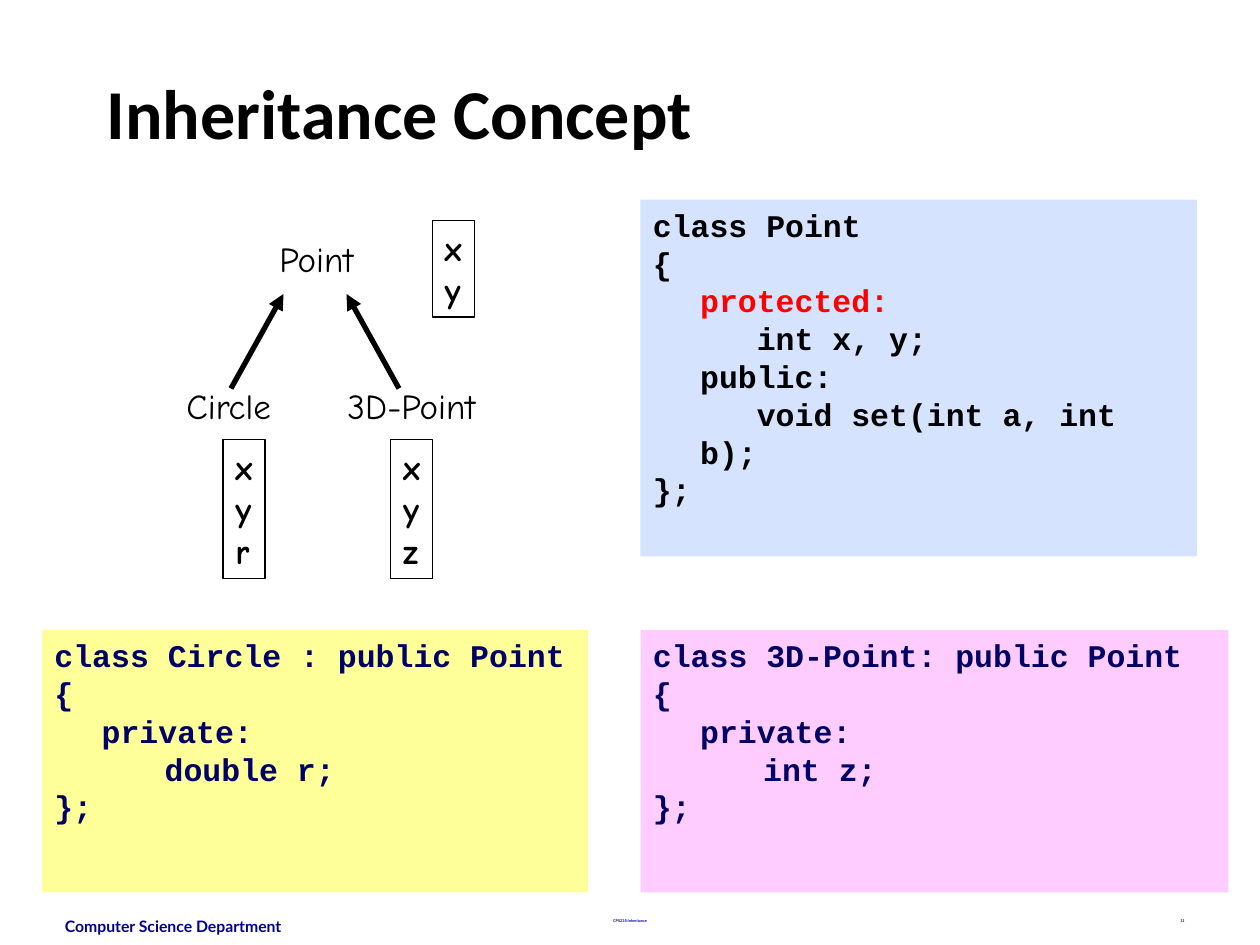
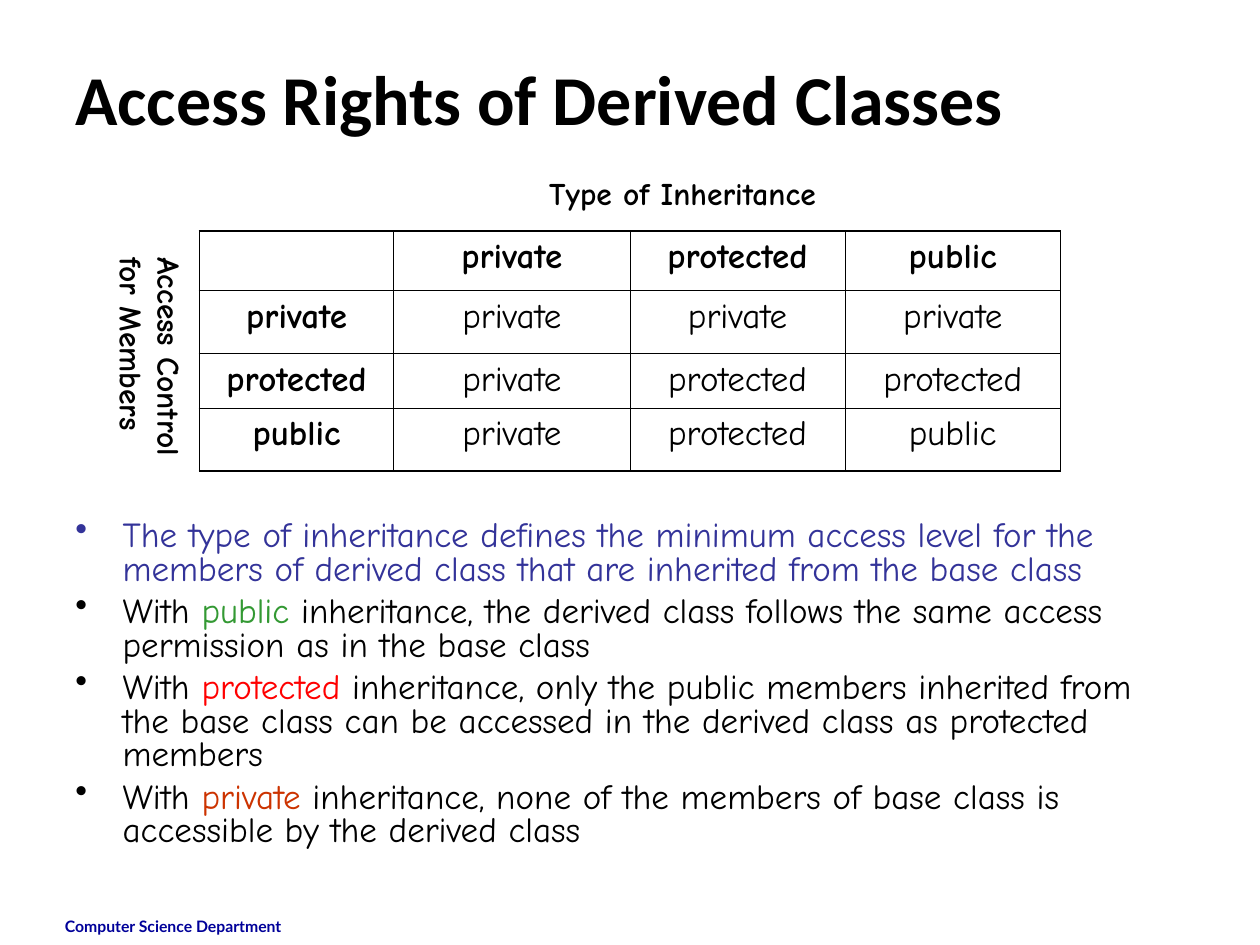
from lxml import etree
from pptx import Presentation
from pptx.dml.color import RGBColor
from pptx.enum.shapes import MSO_CONNECTOR, MSO_SHAPE
from pptx.enum.text import MSO_ANCHOR, MSO_AUTO_SIZE, PP_ALIGN
from pptx.oxml.ns import qn
from pptx.util import Pt

RECTANGLE = MSO_SHAPE.RECTANGLE
STRAIGHT = MSO_CONNECTOR.STRAIGHT
TOP, MIDDLE = MSO_ANCHOR.TOP, MSO_ANCHOR.MIDDLE
GROW = MSO_AUTO_SIZE.SHAPE_TO_FIT_TEXT
LEFT, CENTER, RIGHT = PP_ALIGN.LEFT, PP_ALIGN.CENTER, PP_ALIGN.RIGHT

BLACK, RED = "000000", "FF0000"
FOOTER_BLUE, CODE_NAVY = "000099", "000066"
TITLE_FONT, FOOTER_FONT = "Calibri", "Lato"
BODY_FONT, CODE_FONT = "Comic Neue", "Courier New"
HANGING = 27
TAB_STEP, TAB_COUNT = 72, 8
THICK, THIN = 1.08, 0.45


def color(hex_string):
    """Return the colour for a hex string."""
    return RGBColor.from_string(hex_string)


def add_run(paragraph, text, font, size, hex_color=BLACK, bold=False):
    """Append one formatted run to a paragraph."""
    run = paragraph.add_run()
    run.text = text
    run.font.name = font
    run.font.size = Pt(size)
    run.font.bold = bold
    run.font.color.rgb = color(hex_color)


def paragraphs_for(frame, items):
    """Yield a paragraph of the frame together with each item."""
    for index, item in enumerate(items):
        yield (frame.add_paragraph() if index else frame.paragraphs[0]), item


def set_hanging(paragraph):
    """Give a paragraph a hanging indent and return its properties."""
    properties = paragraph._p.get_or_add_pPr()
    properties.set("marL", str(Pt(HANGING)))
    properties.set("indent", str(-Pt(HANGING)))
    return properties


def add_text(slide, box, lines, font, size, hex_color=BLACK, bold=False,
             align=LEFT, anchor=TOP, wrap=True, spacing=None):
    """Add a text box with one paragraph for each line."""
    shape = slide.shapes.add_textbox(*map(Pt, box))
    frame = shape.text_frame
    frame.word_wrap = wrap
    frame.vertical_anchor = anchor
    if not wrap:
        frame.auto_size = GROW
    for paragraph, line in paragraphs_for(frame, lines):
        paragraph.alignment = align
        if spacing:
            paragraph.line_spacing = spacing
        add_run(paragraph, line, font, size, hex_color, bold)
    return shape


def add_rectangle(slide, box, fill=None, line=None):
    """Add a rectangle ready to hold text from its top left."""
    shape = slide.shapes.add_shape(RECTANGLE, *map(Pt, box))
    shape.shadow.inherit = False
    if fill:
        shape.fill.solid()
        shape.fill.fore_color.rgb = color(fill)
    else:
        shape.fill.background()
    if line:
        shape.line.color.rgb = color(line)
        shape.line.width = Pt(0.75)
    else:
        shape.line.fill.background()
    shape.text_frame.vertical_anchor = TOP
    return shape


def add_title(slide, box, text, anchor=TOP):
    """Add the slide title."""
    add_text(slide, box, [text], TITLE_FONT, 40, bold=True, anchor=anchor)


def add_footer(slide):
    """Add the department name shared by all slides."""
    add_text(slide, (30, 520.5, 168, 19.5), ["Computer Science Department"],
             FOOTER_FONT, 9, FOOTER_BLUE, bold=True)


def add_course_footer(slide, top, course, number):
    """Add the small course name and slide number."""
    for left, width, text, align in ((246, 228, course, CENTER),
                                     (516, 168, number, RIGHT)):
        add_text(slide, (left, top, width, 7), [text], FOOTER_FONT, 2.2,
                 FOOTER_BLUE, bold=True, align=align, spacing=0.8)


def add_code_panel(slide, box, fill, hex_color, lines):
    """Add a filled panel of code, with keywords ending in protected: in red."""
    frame = add_rectangle(slide, box, fill).text_frame
    frame.word_wrap = True
    for paragraph, line in paragraphs_for(frame, lines):
        paragraph.alignment = LEFT
        tabs = etree.SubElement(set_hanging(paragraph), qn("a:tabLst"))
        for step in range(TAB_COUNT):
            etree.SubElement(tabs, qn("a:tab"), pos=str(Pt(step * TAB_STEP)), algn="l")
        line_color = RED if line.endswith("protected:") else hex_color
        add_run(paragraph, line, CODE_FONT, 18, line_color, bold=True)


def add_members(slide, box, names):
    """Add an outlined box listing the members of a class."""
    frame = add_rectangle(slide, box, line=BLACK).text_frame
    frame.word_wrap = False
    frame.auto_size = GROW
    for paragraph, name in paragraphs_for(frame, names):
        paragraph.alignment = LEFT
        add_run(paragraph, name, BODY_FONT, 20, bold=True)


def add_arrow(slide, tip, end):
    """Add a thick line with an arrowhead at its tip."""
    arrow = slide.shapes.add_connector(STRAIGHT, *map(Pt, (*tip, *end)))
    arrow.line.color.rgb = color(BLACK)
    arrow.line.width = Pt(3)
    etree.SubElement(arrow.line._get_or_add_ln(), qn("a:headEnd"), type="triangle")
    etree.SubElement(arrow.element.spPr, qn("a:effectLst"))


def add_hierarchy(slide, left, top):
    """Draw the class tree with the members of each class."""
    classes = (("Point", 56.6, 6, 57.6, 151, 0, "xy"),
               ("Circle", 3.4, 90, 63.4, 31.4, 125.3, "xyr"),
               ("3D-Point", 95.5, 90, 88.6, 127.2, 125.3, "xyz"))
    for name, label_x, label_y, width, members_x, members_y, members in classes:
        add_text(slide, (left + label_x, top + label_y, width, 31.7), [name],
                 BODY_FONT, 20, wrap=False)
        add_members(slide, (left + members_x, top + members_y, 24,
                            7.2 + 24 * len(members)), members)
    axis = left + 84
    for side in (-1, 1):
        add_arrow(slide, (axis + side * 18, top + 42), (axis + side * 48, top + 96))


def set_borders(cell, widths):
    """Draw the left, right, top and bottom borders of a cell."""
    properties = cell._tc.get_or_add_tcPr()
    for index, (side, width) in enumerate(zip("LRTB", widths)):
        border = etree.Element(qn(f"a:ln{side}"), w=str(Pt(width)))
        fill = etree.SubElement(border, qn("a:solidFill"))
        etree.SubElement(fill, qn("a:srgbClr"), val=BLACK)
        properties.insert(index, border)


def add_access_table(slide, left, top):
    """Add the table of access rights with its two axis captions."""
    columns, heights = (111, 135, 123, 123), (34, 36, 31, 36)
    rows = (("", "private", "protected", "public"),
            ("private", "private", "private", "private"),
            ("protected", "private", "protected", "protected"),
            ("public", "private", "protected", "public"))
    frame = slide.shapes.add_table(len(rows), len(columns), Pt(left), Pt(top),
                                   Pt(sum(columns)), Pt(sum(heights)))
    table = frame.table
    table.first_row = table.horz_banding = False
    for column, width in zip(table.columns, columns):
        column.width = Pt(width)
    last_row, last_column = len(rows) - 1, len(columns) - 1
    for r, (row, height) in enumerate(zip(rows, heights)):
        table.rows[r].height = Pt(height)
        for c, text in enumerate(row):
            cell = table.cell(r, c)
            cell.fill.background()
            edges = (c == 0, c == last_column, r == 0, r == last_row)
            set_borders(cell, [THICK if edge else THIN for edge in edges])
            if text:
                paragraph = cell.text_frame.paragraphs[0]
                paragraph.alignment = CENTER
                add_run(paragraph, text, BODY_FONT, 20, bold=r == 0 or c == 0)
    add_text(slide, (left + 192.7, top - 36, 167, 28.8), ["Type of Inheritance"],
             BODY_FONT, 18, bold=True, wrap=False)
    caption = add_text(slide, (left - 60, top + 7.7, 57.6, 121.7),
                       ["Access Control", "for Members"],
                       BODY_FONT, 18, bold=True, wrap=False)
    caption.element.txBody.bodyPr.set("vert", "eaVert")
    margins = caption.text_frame
    margins.margin_left = margins.margin_right = Pt(3.6)
    margins.margin_top = margins.margin_bottom = Pt(7.2)


def add_bullets(slide, box, items):
    """Add a bulleted list whose items are lists of coloured runs."""
    frame = slide.shapes.add_textbox(*map(Pt, box)).text_frame
    frame.word_wrap = True
    for index, (paragraph, runs) in enumerate(paragraphs_for(frame, items)):
        properties = set_hanging(paragraph)
        bullet_color = etree.SubElement(properties, qn("a:buClr"))
        etree.SubElement(bullet_color, qn("a:srgbClr"), val=runs[0][1])
        etree.SubElement(properties, qn("a:buChar"), char="•")
        paragraph.line_spacing = 0.8
        if index:
            paragraph.space_before = Pt(5)
        for text, hex_color in runs:
            add_run(paragraph, text, BODY_FONT, 20, hex_color)


def build_concept_slide(slide):
    """Build the slide on the concept of inheritance."""
    add_footer(slide)
    add_course_footer(slide, 522, "CPS235:Inheritance", "11")
    add_title(slide, (54, 36, 612, 54), "Inheritance Concept")
    add_hierarchy(slide, 96, 126)
    add_code_panel(slide, (366, 114, 318, 204), "D5E3FF", BLACK, (
        "class Point", "{", "\tprotected:", "\t   int x, y;", "\tpublic:",
        "\t   void set(int a, int b);", "};"))
    derived = ((24, 312, "FFFF99", "class Circle : public Point", "double r;"),
               (366, 336, "FFCCFF", "class 3D-Point: public Point", "int z;"))
    for left, width, fill, heading, member in derived:
        add_code_panel(slide, (left, 360, width, 150), fill, CODE_NAVY, (
            heading, "{", "\tprivate:", f"\t\t{member}", "};"))


def build_access_slide(slide):
    """Build the slide on access rights."""
    add_footer(slide)
    add_title(slide, (36, 21.6, 648, 68.4), "Access Rights of Derived Classes", MIDDLE)
    rules = (("public", "339933", " inheritance, the derived class follows the same "
              "access permission as in the base class"),
             ("protected", RED, " inheritance, only the public members inherited from "
              "the base class can be accessed in the derived class as protected members"),
             ("private", "CC3300", " inheritance, none of the members of base class is "
              "accessible by the derived class"))
    summary = ("The type of inheritance defines the minimum access level for the "
               "members of derived class that are inherited from the base class")
    items = [[(summary, "333399")]]
    items += [[("With ", BLACK), (word, hue), (rest, BLACK)] for word, hue, rest in rules]
    add_bullets(slide, (36, 294, 648, 216), items)
    add_access_table(slide, 114, 132)


def main():
    """Build and save the presentation."""
    presentation = Presentation()
    presentation.slide_width, presentation.slide_height = Pt(720), Pt(540)
    for build in (build_concept_slide, build_access_slide):
        build(presentation.slides.add_slide(presentation.slide_layouts[6]))
    presentation.save("out.pptx")


if __name__ == "__main__":
    main()
